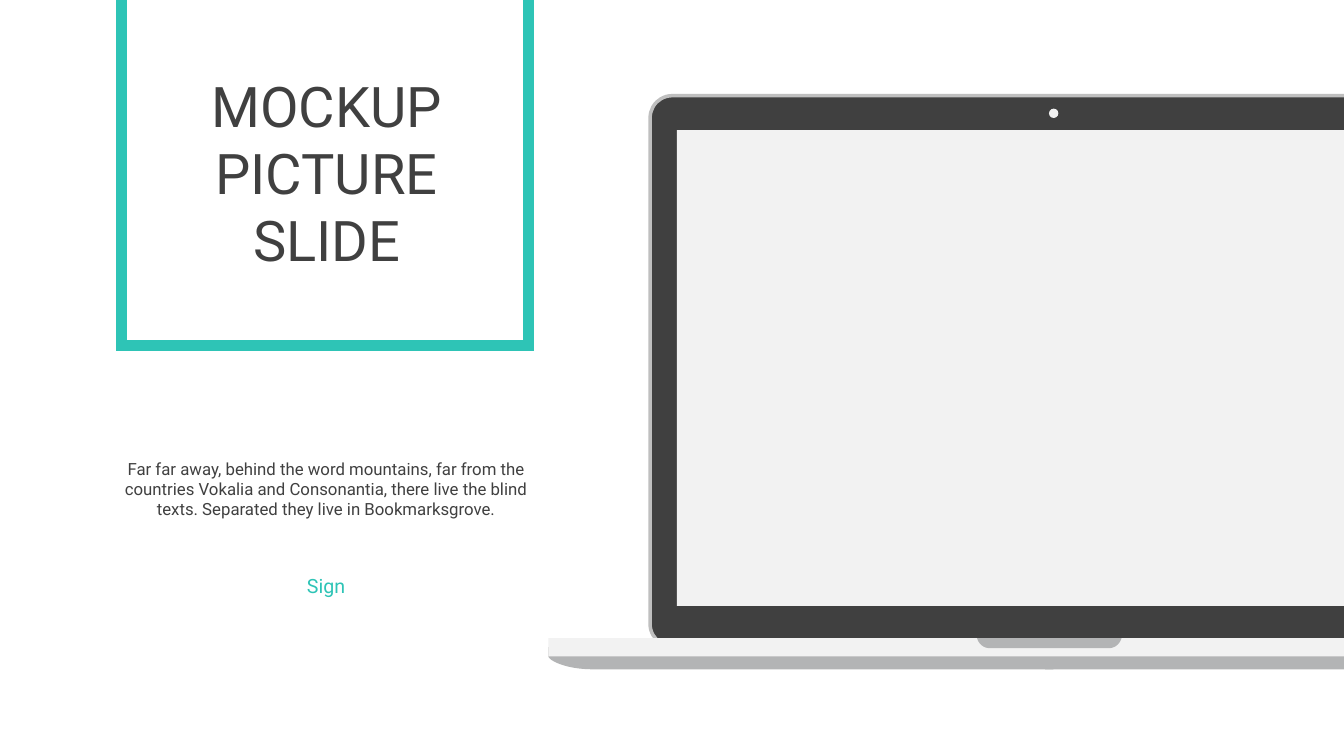
import lxml.etree
import pptx
import pptx.dml.color
import pptx.enum.shapes
import pptx.enum.text
import pptx.oxml.ns
import pptx.util

Pt = pptx.util.Pt
PRESET = pptx.enum.shapes.MSO_SHAPE
COLORS = {
    "accent": "2EC4B6",
    "dark": "404040",
    "screen": "F2F2F2",
    "metal": "B3B4B5",
    "rim": "BFBFBF",
}


def bezier(start, control_1, control_2, end, steps=12):
    """Return points along a cubic curve, both ends included."""
    points = []
    for step in range(steps + 1):
        t = step / steps
        weights = ((1 - t) ** 3, 3 * t * (1 - t) ** 2, 3 * t ** 2 * (1 - t), t ** 3)
        anchors = (start, control_1, control_2, end)
        points.append(tuple(sum(w * p[axis] for w, p in zip(weights, anchors))
                            for axis in (0, 1)))
    return points


def mirror(points, axis_x):
    return [(2 * axis_x - x, y) for x, y in points]


class SlideBuilder:
    """Draws on one slide in a shared style; lengths are in points."""

    font_name = "Roboto"

    def __init__(self, slide):
        self.slide = slide

    def color(self, name):
        return pptx.dml.color.RGBColor.from_string(COLORS[name])

    def paint(self, shape, fill, line, line_width):
        shape.shadow.inherit = False
        if fill:
            shape.fill.solid()
            shape.fill.fore_color.rgb = self.color(fill)
        else:
            shape.fill.background()
        if line:
            shape.line.color.rgb = self.color(line)
            shape.line.width = Pt(line_width)
            outline = shape._element.spPr.find(pptx.oxml.ns.qn("a:ln"))
            lxml.etree.SubElement(outline, pptx.oxml.ns.qn("a:miter"), lim="800000")
        else:
            shape.line.fill.background()
        return shape

    def preset(self, kind, left, top, width, height, fill=None, line=None, line_width=0):
        shape = self.slide.shapes.add_shape(kind, Pt(left), Pt(top), Pt(width), Pt(height))
        return self.paint(shape, fill, line, line_width)

    def outline(self, points, fill):
        start, *others = [(Pt(x), Pt(y)) for x, y in points]
        builder = self.slide.shapes.build_freeform(*start)
        builder.add_line_segments(others, close=True)
        return self.paint(builder.convert_to_shape(), fill, None, 0)

    def fill_text(self, box, bounds, lines, size, color, wrap):
        box.left, box.top, box.width, box.height = map(Pt, bounds)
        frame = box.text_frame
        frame.text = "\n".join(lines)
        frame.word_wrap = wrap
        frame.auto_size = pptx.enum.text.MSO_AUTO_SIZE.SHAPE_TO_FIT_TEXT
        frame.vertical_anchor = pptx.enum.text.MSO_ANCHOR.TOP
        for paragraph in frame.paragraphs:
            paragraph.alignment = pptx.enum.text.PP_ALIGN.CENTER
            paragraph.font.name = self.font_name
            paragraph.font.size = Pt(size)
            paragraph.font.color.rgb = self.color(color)

    def title(self, bounds, lines, size, color):
        self.fill_text(self.slide.shapes.title, bounds, lines, size, color, wrap=False)

    def text(self, bounds, content, size, color, wrap):
        box = self.slide.shapes.add_textbox(*map(Pt, bounds))
        self.fill_text(box, bounds, [content], size, color, wrap)

    def laptop(self):
        center = 749.5
        base_left, base_top = 391.7, 455.8

        underside = bezier((base_left, 468.7), (base_left, 471.6), (403.9, 478.1), (423.4, 478.1))
        left_half = underside + [(center + 2.9, 478.1), (center + 2.9, 462.2), (base_left, 462.2)]
        for half in (left_half, mirror(left_half, center)):
            self.outline(half, "metal")

        lid = self.preset(PRESET.ROUNDED_RECTANGLE, 464.4, 68.4, 576, 393.1,
                          "dark", "rim", 2.5)
        lid.adjustments[0] = 0.04
        self.preset(PRESET.RECTANGLE, base_left, base_top, 715.6, 13, "screen")

        notch = bezier((697.9, base_top), (699.1, 460.1), (702.7, 463), (707, 463))
        self.outline(notch + mirror(notch, center)[::-1], "metal")

        self.preset(PRESET.RECTANGLE, 483.6, 93, 537.8, 339.8, "screen")
        self.preset(PRESET.OVAL, 749.3, 77.6, 6.7, 6.7, "screen")


def main():
    presentation = pptx.Presentation()
    presentation.slide_width = Pt(960)
    presentation.slide_height = Pt(540)
    title_only = presentation.slide_layouts[5]
    builder = SlideBuilder(presentation.slides.add_slide(title_only))

    builder.laptop()
    builder.title((137.5, 47.5, 191.5, 152.6), ["MOCKUP", "PICTURE", "SLIDE"], 40, "dark")
    builder.text((78.2, 324, 309.6, 51.1),
                 "Far far away, behind the word mountains, far from the countries "
                 "Vokalia and Consonantia, there live the blind texts. "
                 "Separated they live in Bookmarksgrove.", 12, "dark", wrap=True)
    builder.text((211.7, 406.1, 42.5, 24.5), "Sign", 14, "accent", wrap=False)
    builder.preset(PRESET.RECTANGLE, 86.7, -44, 291, 291, line="accent", line_width=8)

    presentation.save("out.pptx")


if __name__ == "__main__":
    main()
